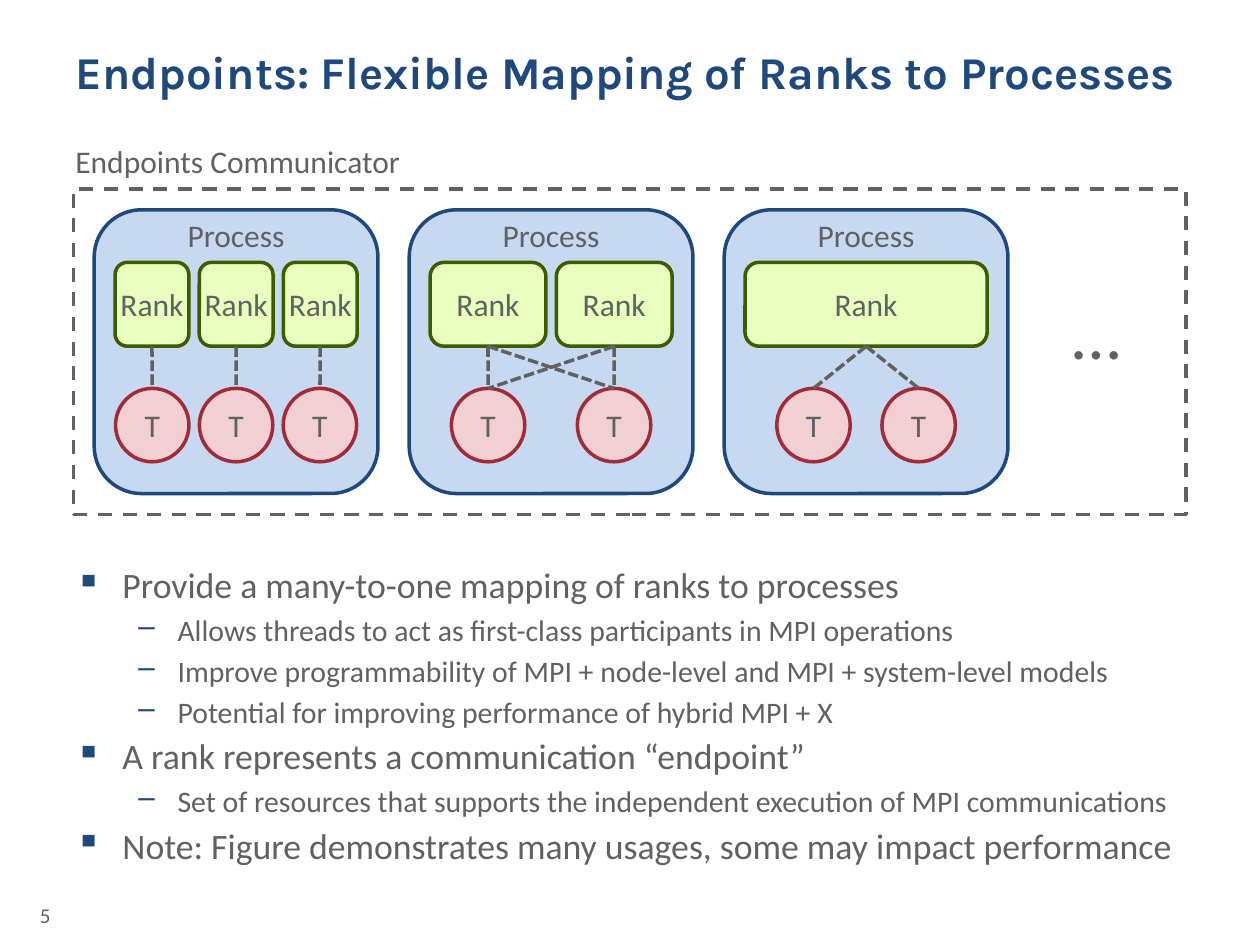
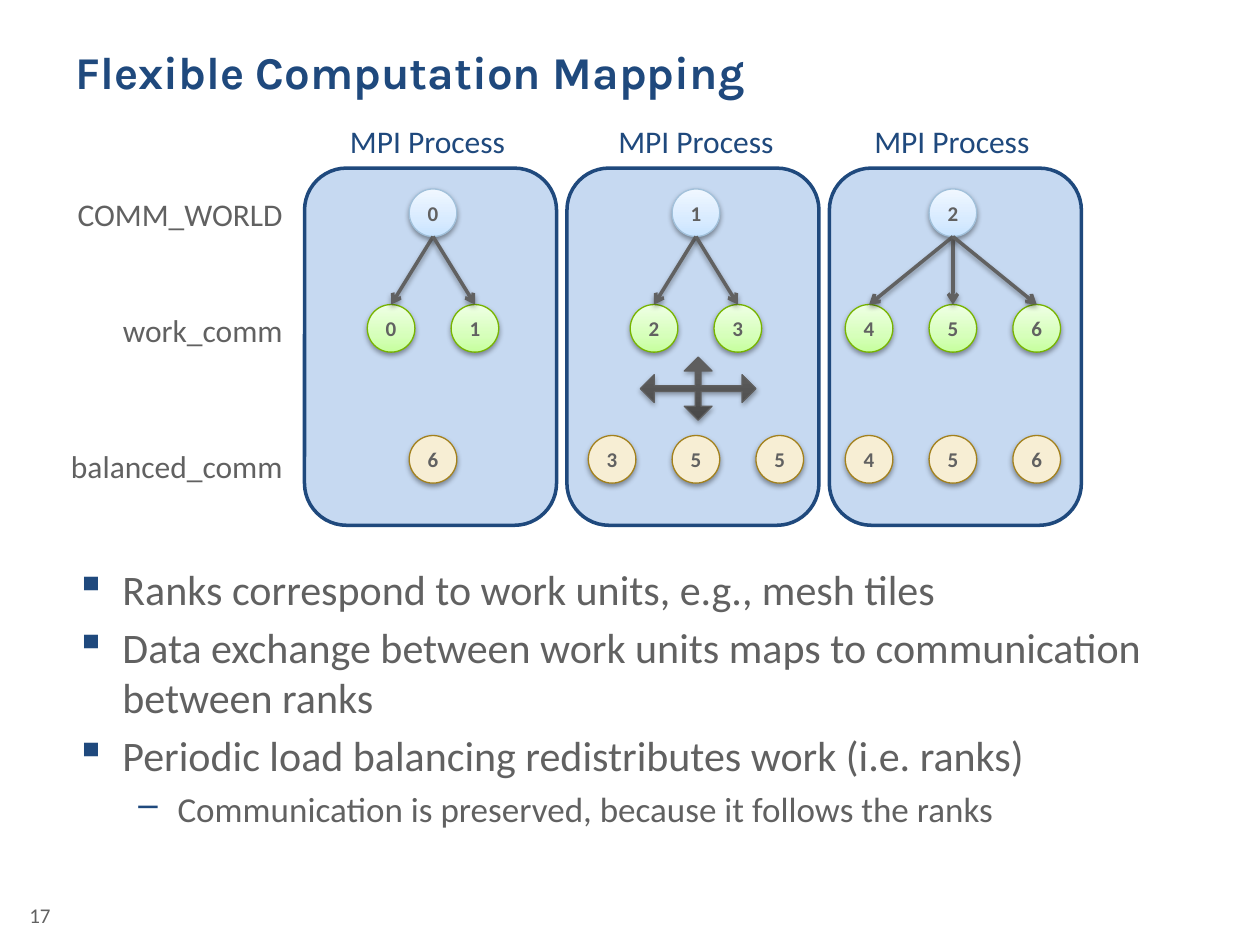
import dataclasses

import lxml.etree
import pptx
import pptx.dml.color
import pptx.enum.dml
import pptx.enum.shapes
import pptx.enum.text
import pptx.oxml.ns
import pptx.util

Cm = pptx.util.Cm
qn = pptx.oxml.ns.qn
SHAPE = pptx.enum.shapes.MSO_SHAPE
ALIGN = pptx.enum.text.PP_ALIGN
ANCHOR = pptx.enum.text.MSO_ANCHOR
DASH = pptx.enum.dml.MSO_LINE


@dataclasses.dataclass(frozen=True)
class Theme:
    """Colours, fonts and type sizes shared by all slides."""
    navy: str = "1F497D"
    gray: str = "616161"
    process: tuple = ("C6D9F1", "1F497D", 2)  # fill, line, line width
    rank: tuple = ("E9FFBE", "3D5C00", 2)
    thread: tuple = ("F2CFD3", "A22B38", 2)
    frame: tuple = (None, "616161", 2)
    world: tuple = (((0, "C9E4FF"), (35, "D8EBFF"), (100, "F0F7FF")), "A1C0DA", 0.75)
    work: tuple = (((0, "C6FF9D"), (35, "D6FFBA"), (100, "EFFFE5")), "77B400", 0.75)
    balanced: tuple = ("F7EED4", "A3811D", 0.75)
    exchange: tuple = (((0, "484848"), (80, "5E5E5E"), (100, "5E5E5E")), "5F5F5F", 0.75)
    heading_font: str = "Karla"
    body_font: str = "Calibri"
    title_size: float = 26
    label_size: float = 18
    small_size: float = 12
    ellipsis_size: float = 40


def rgb(color):
    return pptx.dml.color.RGBColor.from_string(color)


def add_xml(parent, tag, **attributes):
    """Append a DrawingML element and return it."""
    child = lxml.etree.SubElement(parent, qn(tag))
    for name, value in attributes.items():
        child.set(name, str(value))
    return child


class SlideBuilder:
    """Holds the theme and the slide being drawn; boxes are (left, top, width, height) in cm."""

    def __init__(self, deck, theme):
        self.deck = deck
        self.theme = theme
        self.slide = None

    def start(self, title, number):
        theme = self.theme
        self.slide = self.deck.slides.add_slide(self.deck.slide_layouts[6])
        box = self.text_box((1.27, 0.76, 22.86, 2.62), wrap=True)
        self.span(box.text_frame.paragraphs[0], title, theme.title_size,
                  theme.navy, bold=True, font=theme.heading_font)
        self.label((0.2, 17.93, 1.07, 1.02), number, theme.small_size,
                   align=ALIGN.RIGHT, anchor=ANCHOR.MIDDLE)

    def span(self, para, text, size, color=None, bold=False, font=None):
        span = para.add_run()
        span.text = text
        span.font.size = pptx.util.Pt(size)
        span.font.name = font or self.theme.body_font
        span.font.bold = bold
        span.font.color.rgb = rgb(color or self.theme.gray)

    def text_box(self, box, wrap=False):
        shape = self.slide.shapes.add_textbox(*map(Cm, box))
        shape.text_frame.word_wrap = wrap
        return shape

    def label(self, box, text, size=None, color=None, align=ALIGN.LEFT, anchor=ANCHOR.TOP):
        frame = self.text_box(box).text_frame
        frame.vertical_anchor = anchor
        para = frame.paragraphs[0]
        para.alignment = align
        self.span(para, text, size or self.theme.label_size, color)

    def bullets(self, height, sizes, gaps, items):
        """Write (level, text) items; sizes and gaps in points are given per level."""
        frame = self.text_box((1.27, 11.23, 22.86, height), wrap=True).text_frame
        for index, (level, text) in enumerate(items):
            para = frame.add_paragraph() if index else frame.paragraphs[0]
            para.level = level
            para.space_before = pptx.util.Pt(gaps[level])
            margin, hang, mark = ((0.95, 0.95, "▪"), (2.06, 0.79, "–"))[level]
            properties = para._p.get_or_add_pPr()
            properties.set("marL", str(Cm(margin)))
            properties.set("indent", str(-Cm(hang)))
            add_xml(add_xml(properties, "a:buClr"), "a:srgbClr", val=self.theme.navy)
            add_xml(properties, "a:buChar", char=mark)
            self.span(para, text, sizes[level])

    def shape(self, kind, box, style, text="", size=None, bold=False, dash=None, shadow=None):
        fill, line, width = style
        shape = self.slide.shapes.add_shape(kind, *map(Cm, box))
        if fill is None:
            shape.fill.background()
        elif isinstance(fill, str):
            shape.fill.solid()
            shape.fill.fore_color.rgb = rgb(fill)
        else:
            self.gradient(shape, fill)
        self.stroke(shape.line, line, width, dash)
        shape.shadow.inherit = False
        if shadow:
            self.shadow(shape._element.spPr.find(qn("a:effectLst")), shadow)
        if text:
            frame = shape.text_frame
            frame.margin_left = frame.margin_right = 0
            frame.vertical_anchor = ANCHOR.MIDDLE
            frame.paragraphs[0].alignment = ALIGN.CENTER
            self.span(frame.paragraphs[0], text, size or self.theme.label_size, bold=bold)
        return shape

    def connector(self, start, end, dash=None, arrow=False):
        """Draw a line to the top of end; start is a shape (its bottom) or a point in cm."""
        point = start if isinstance(start, tuple) else (0, 0)
        line = self.slide.shapes.add_connector(
            pptx.enum.shapes.MSO_CONNECTOR.STRAIGHT, *map(Cm, point), 0, 0)
        if not isinstance(start, tuple):
            line.begin_connect(start, 2)
        line.end_connect(end, 0)
        self.stroke(line.line, self.theme.gray, 2, dash)
        properties = line._element.spPr
        effects = add_xml(properties, "a:effectLst")
        if arrow:
            add_xml(properties.find(qn("a:ln")), "a:tailEnd", type="arrow")
            self.shadow(effects, 38)

    @staticmethod
    def stroke(line, color, width, dash):
        line.color.rgb = rgb(color)
        line.width = pptx.util.Pt(width)
        if dash:
            line.dash_style = dash

    @staticmethod
    def gradient(shape, stops):
        shape.fill.gradient()
        shape.fill.gradient_angle = 90
        stop_list = shape._element.spPr.find(qn("a:gradFill")).find(qn("a:gsLst"))
        for stop in list(stop_list):
            stop_list.remove(stop)
        for position, color in stops:
            add_xml(add_xml(stop_list, "a:gs", pos=position * 1000), "a:srgbClr", val=color)

    @staticmethod
    def shadow(effects, opacity):
        outer = add_xml(effects, "a:outerShdw", blurRad=pptx.util.Pt(3.1),
                        dist=pptx.util.Pt(1.6), dir=5400000, rotWithShape=0)
        add_xml(add_xml(outer, "a:srgbClr", val="000000"), "a:alpha", val=opacity * 1000)


def draw_endpoints(page):
    theme = page.theme
    page.start("Endpoints: Flexible Mapping of Ranks to Processes", "5")
    page.bullets(6.15, (20.4, 17), (3, 3), [
        (0, "Provide a many-to-one mapping of ranks to processes"),
        (1, "Allows threads to act as first-class participants in MPI operations"),
        (1, "Improve programmability of MPI + node-level and MPI + system-level models"),
        (1, "Potential for improving performance of hybrid MPI + X"),
        (0, "A rank represents a communication “endpoint”"),
        (1, "Set of resources that supports the independent execution of MPI communications"),
        (0, "Note: Figure demonstrates many usages, some may impact performance"),
    ])

    # Communicator frame
    page.shape(SHAPE.RECTANGLE, (1.48, 3.81, 22.43, 6.56), theme.frame, dash=DASH.DASH)
    page.label((1.27, 2.74, 7.14, 1.02), "Endpoints Communicator")
    page.label((21.38, 5.72, 1.5, 1.96), "…", theme.ellipsis_size)

    # Processes: rank count, thread count, thread pitch, (rank, thread) links
    processes = [
        (3, 3, 1.69, [(0, 0), (1, 1), (2, 2)]),
        (2, 2, 2.54, [(0, 0), (1, 1), (0, 1), (1, 0)]),
        (1, 2, 2.12, [(0, 0), (0, 1)]),
    ]
    side, inset, gap, thread_size = 5.72, 0.42, 0.21, 1.48
    for index, (rank_count, thread_count, pitch, links) in enumerate(processes):
        left = 1.9 + 6.35 * index
        center = left + side / 2
        page.shape(SHAPE.ROUNDED_RECTANGLE, (left, 4.23, side, side), theme.process)
        page.label((center - 1.25, 4.23, 2.5, 1.02), "Process", align=ALIGN.CENTER)
        width = (side - 2 * inset - gap * (rank_count - 1)) / rank_count
        ranks = [page.shape(SHAPE.ROUNDED_RECTANGLE,
                            (left + inset + (width + gap) * i, 5.29, width, 1.69),
                            theme.rank, "Rank")
                 for i in range(rank_count)]
        first = center - pitch * (thread_count - 1) / 2 - thread_size / 2
        threads = [page.shape(SHAPE.OVAL, (first + pitch * i, 7.83, thread_size, thread_size),
                              theme.thread, "T")
                   for i in range(thread_count)]
        for rank, thread in links:
            page.connector(ranks[rank], threads[thread], dash=DASH.SQUARE_DOT)


def draw_computation_mapping(page):
    theme = page.theme
    page.start("Flexible Computation Mapping", "17")
    page.bullets(5.79, (24, 20), (4.4, 4), [
        (0, "Ranks correspond to work units, e.g., mesh tiles"),
        (0, "Data exchange between work units maps to communication between ranks"),
        (0, "Periodic load balancing redistributes work (i.e. ranks)"),
        (1, "Communication is preserved, because it follows the ranks"),
    ])

    # Communicator names beside the rows
    for name, top in (("COMM_WORLD", 3.81), ("work_comm", 6.15), ("balanced_comm", 8.89)):
        page.label((1.09, top, 4.86, 1.02), name, align=ALIGN.RIGHT)

    # Processes: label centre, node centre, then the ranks of each communicator
    processes = [
        (8.62, 8.73, "0", "01", "6"),
        (14.03, 14.03, "1", "23", "355"),
        (19.19, 19.21, "2", "456", "456"),
    ]
    node_size, pitch, world_top, work_top, balanced_top = 0.96, 1.69, 3.81, 6.14, 8.78

    def node_row(center, top, ranks, style):
        first = center - pitch * (len(ranks) - 1) / 2 - node_size / 2
        return [page.shape(SHAPE.OVAL, (first + pitch * i, top, node_size, node_size), style,
                           rank, theme.small_size, bold=True, shadow=38)
                for i, rank in enumerate(ranks)]

    for index, (label_center, center, world, work, balanced) in enumerate(processes):
        page.shape(SHAPE.ROUNDED_RECTANGLE, (6.14 + 5.29 * index, 3.39, 5.08, 7.2), theme.process)
        page.label((label_center - 1.84, 2.34, 3.68, 1.02), "MPI Process",
                   color=theme.navy, align=ALIGN.CENTER)
        node_row(center, world_top, world, theme.world)
        for node in node_row(center, work_top, work, theme.work):
            page.connector((center, world_top + node_size), node, arrow=True)
        node_row(center, balanced_top, balanced, theme.balanced)

    # Exchange between the work units
    exchange = page.shape(SHAPE.QUAD_ARROW, (12.91, 7.2, 2.33, 1.27), theme.exchange, shadow=35)
    for index, value in enumerate((0.09, 0.22, 0.22)):
        exchange.adjustments[index] = value


def main():
    deck = pptx.Presentation()
    deck.slide_width, deck.slide_height = Cm(25.4), Cm(19.05)
    page = SlideBuilder(deck, Theme())
    draw_endpoints(page)
    draw_computation_mapping(page)
    deck.save("out.pptx")


if __name__ == "__main__":
    main()
